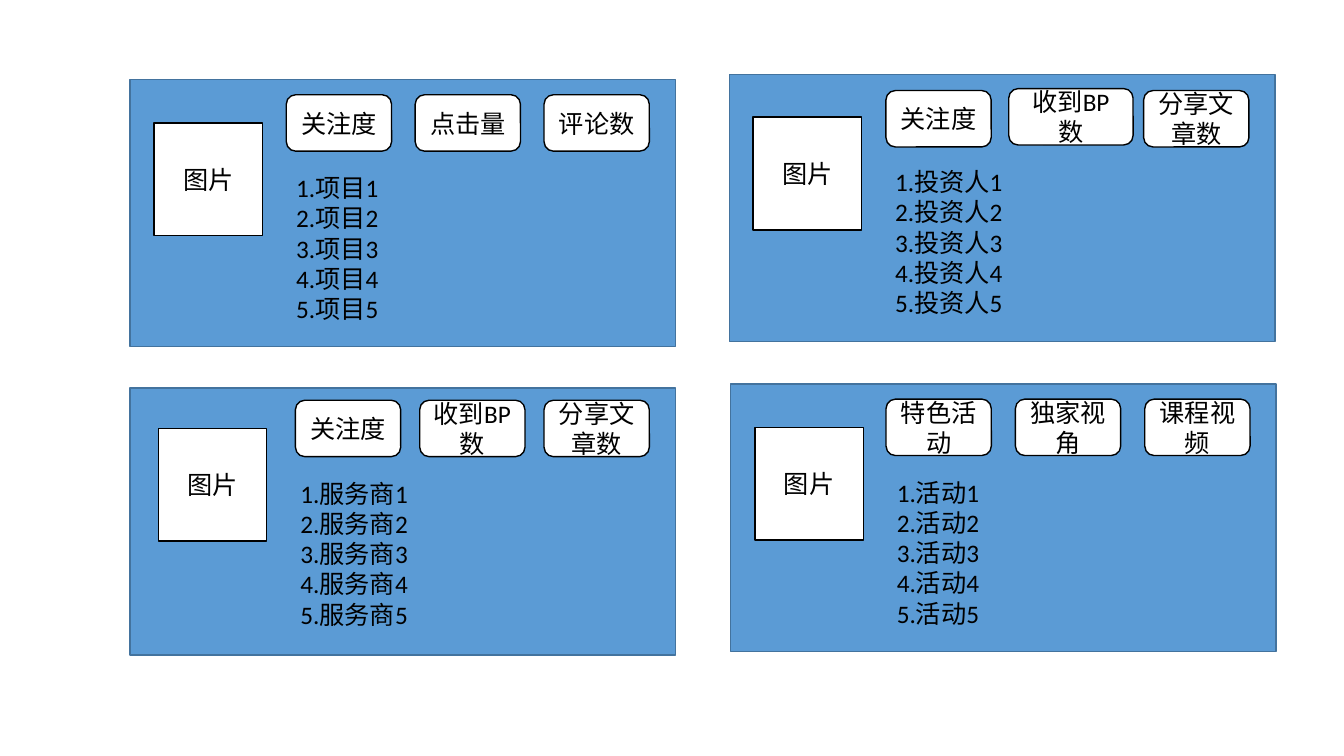
from pptx import Presentation
from pptx.dml.color import RGBColor
from pptx.enum import shapes, text
from pptx.util import Pt

# Content: lengths in points; picture and tab places are relative to the panel
PICTURE_LABEL = "图片"
ENTRY_COUNT = 5
PANELS = [
    dict(at=(92.9, 56.9), picture=(17.2, 30.9), tabs_at=(111.6, 10.8),
         tabs=["关注度", "点击量", "评论数"], entry="项目"),
    dict(at=(521.2, 53.2), picture=(16.7, 30.4), tabs_at=(111.6, 11.5),
         tabs=["关注度", "收到BP数", "分享文章数"], entry="投资人",
         adjust={1: (-4.3, -1.4, 13.6)}),  # tab index: shift x, shift y, extra width
    dict(at=(92.9, 277.2), picture=(20.2, 28.8), tabs_at=(118.1, 8.7),
         tabs=["关注度", "收到BP数", "分享文章数"], entry="服务商"),
    dict(at=(522, 274.4), picture=(17.2, 30.9), tabs_at=(110.9, 10.7),
         tabs=["特色活动", "独家视角", "课程视频"], entry="活动"),
]

THEME = dict(
    font="Calibri", size=Pt(18), ink=RGBColor(0, 0, 0),
    card=RGBColor(255, 255, 255), panel=RGBColor(0x5B, 0x9B, 0xD5),
    panel_edge=RGBColor(0x43, 0x73, 0x9E), edge_width=Pt(1),
)
PANEL_SIZE = (389.5, 190.8)
PICTURE_SIZE = (77.4, 80.6)
TAB_SIZE = (75.2, 40.3)
LIST_SIZE = (267.1, 116.6)
LIST_FROM_PICTURE = (94.3, 31.8)
LAST_TAB_X = 295.7

deck = Presentation()
deck.slide_width, deck.slide_height = Pt(960), Pt(540)
slide = deck.slides.add_slide(deck.slide_layouts[6])


def write(frame, lines, align):
    frame.word_wrap = True
    frame.text = "\n".join(lines)
    for paragraph in frame.paragraphs:
        paragraph.alignment = align
        paragraph.font.name = THEME["font"]
        paragraph.font.size = THEME["size"]
        paragraph.font.color.rgb = THEME["ink"]


def add_box(kind, x, y, size, fill, edge, label=None):
    box = slide.shapes.add_shape(kind, *map(Pt, (x, y, *size)))
    box.shadow.inherit = False
    box.fill.solid()
    box.fill.fore_color.rgb = fill
    box.line.color.rgb = edge
    box.line.width = THEME["edge_width"]
    if label:
        box.text_frame.vertical_anchor = text.MSO_ANCHOR.MIDDLE
        write(box.text_frame, [label], text.PP_ALIGN.CENTER)


def add_card(kind, x, y, size, label):
    add_box(kind, x, y, size, THEME["card"], THEME["ink"], label)


for panel in PANELS:
    left, top = panel["at"]
    add_box(shapes.MSO_SHAPE.RECTANGLE, left, top, PANEL_SIZE,
            THEME["panel"], THEME["panel_edge"])

    # Picture placeholder
    picture_x, picture_y = left + panel["picture"][0], top + panel["picture"][1]
    add_card(shapes.MSO_SHAPE.RECTANGLE, picture_x, picture_y, PICTURE_SIZE, PICTURE_LABEL)

    # Tabs, evenly spread up to the last one
    first_x, tab_y = panel["tabs_at"]
    step = (LAST_TAB_X - first_x) / (len(panel["tabs"]) - 1)
    for i, tab in enumerate(panel["tabs"]):
        dx, dy, extra = panel.get("adjust", {}).get(i, (0, 0, 0))
        add_card(shapes.MSO_SHAPE.ROUNDED_RECTANGLE,
                 left + first_x + i * step + dx, top + tab_y + dy,
                 (TAB_SIZE[0] + extra, TAB_SIZE[1]), tab)

    # Numbered entries
    entries = slide.shapes.add_textbox(
        Pt(picture_x + LIST_FROM_PICTURE[0]), Pt(picture_y + LIST_FROM_PICTURE[1]),
        *map(Pt, LIST_SIZE))
    write(entries.text_frame,
          [f"{n}.{panel['entry']}{n}" for n in range(1, ENTRY_COUNT + 1)],
          text.PP_ALIGN.LEFT)
    entries.text_frame.auto_size = text.MSO_AUTO_SIZE.SHAPE_TO_FIT_TEXT

deck.save("out.pptx")
